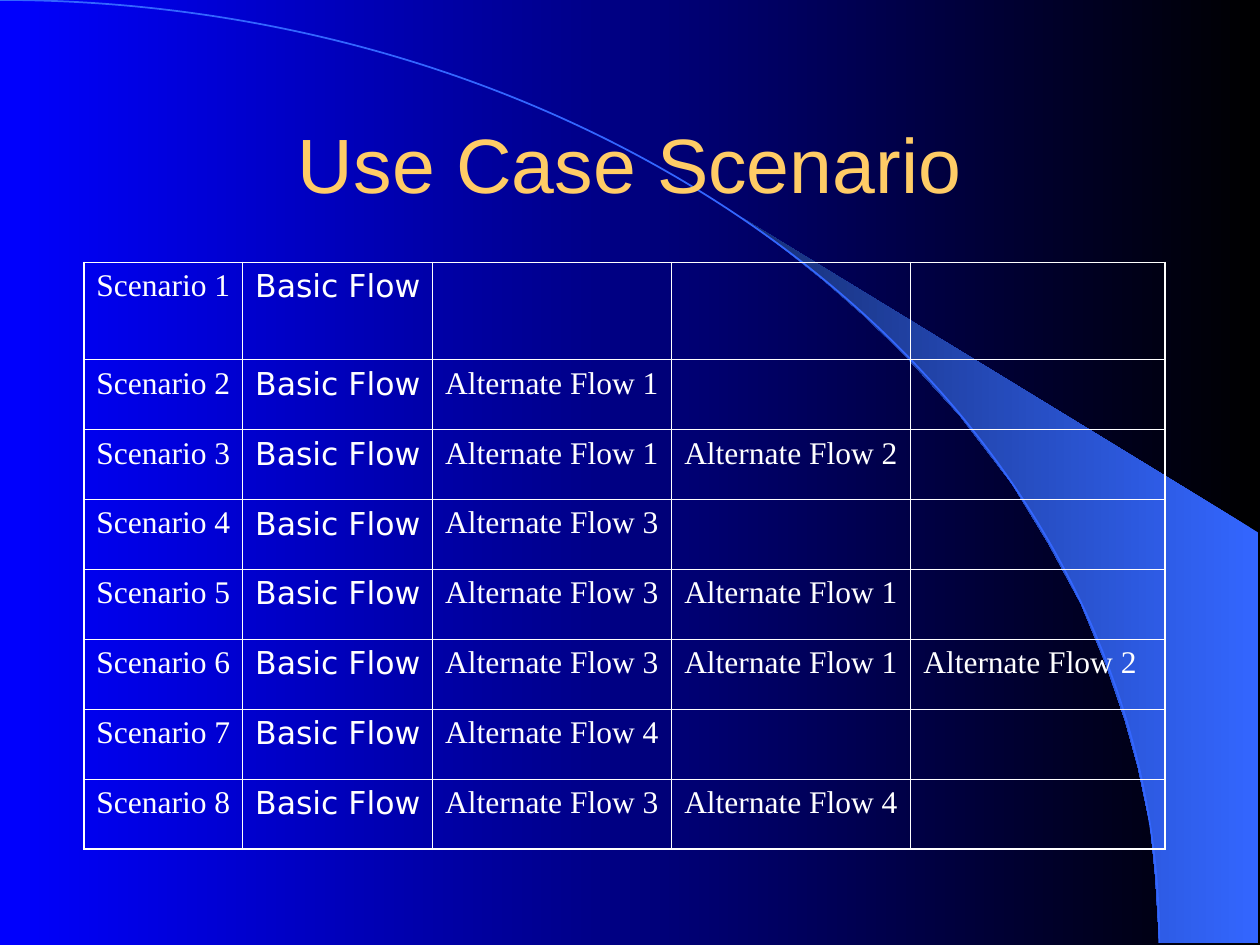
from lxml import etree
from pptx import Presentation
from pptx.dml.color import RGBColor
from pptx.enum.shapes import MSO_SHAPE
from pptx.enum.text import MSO_ANCHOR, MSO_AUTO_SIZE, PP_ALIGN
from pptx.oxml.ns import qn
from pptx.util import Cm, Pt

ARC = MSO_SHAPE.ARC
MIDDLE = MSO_ANCHOR.MIDDLE
NO_AUTOFIT = MSO_AUTO_SIZE.NONE
CENTER, LEFT = PP_ALIGN.CENTER, PP_ALIGN.LEFT

TITLE = "Use Case Scenario"
ALTERNATE_FLOWS = [[], [1], [1, 2], [3], [3, 1], [3, 1, 2], [4], [3, 4]]

WHITE, GOLD, SKY, NAVY = "FFFFFF", "FFCC66", "3366FF", "172F75"
BLACK, BLUE = "000000", "0000FF"
SERIF, SANS, TITLE_FONT = "Times New Roman", "DejaVu Sans", "Arial"

COLUMN_WIDTHS = [3.2, 3.83, 4.82, 4.82, 5.13]
ROW_HEIGHTS = [1.96] + [1.41] * 7
TABLE_LEFT, TABLE_TOP = 1.69, 5.29
CELL_RIGHT_MARGIN = 0.15
INNER_LINE, OUTER_LINE = 0.45, 1.08

WEDGE_UNIT = Cm(0.01)
WEDGE_POINTS = [
    (2337, 1900), (2537, 1902), (2537, 1074), (1496, 439), (1585, 505),
    (1659, 564), (1740, 635), (1819, 711), (1935, 838), (2040, 975),
    (2113, 1095), (2179, 1217), (2230, 1341), (2268, 1453), (2294, 1547),
    (2319, 1666), (2329, 1768),
]


def color(hex_string):
    return RGBColor.from_string(hex_string)


def set_gradient(fill, start, end):
    fill.gradient()
    fill.gradient_angle = 180
    for stop, hex_string in zip(fill.gradient_stops, (start, end)):
        stop.color.rgb = color(hex_string)


def write_text(frame, text, font, size=18, fill=WHITE, align=LEFT, before=0):
    paragraph = frame.paragraphs[0]
    paragraph.alignment = align
    paragraph.space_before = Pt(before)
    run = paragraph.add_run()
    run.text = text
    run.font.name = font
    run.font.size = Pt(size)
    run.font.bold = False
    run.font.color.rgb = color(fill)


def add_background(slide):
    set_gradient(slide.background.fill, BLACK, BLUE)

    builder = slide.shapes.build_freeform(*WEDGE_POINTS[0], scale=WEDGE_UNIT)
    builder.add_line_segments(WEDGE_POINTS[1:], close=True)
    wedge = builder.convert_to_shape()
    wedge.shadow.inherit = False
    set_gradient(wedge.fill, SKY, NAVY)
    wedge.line.fill.background()

    arc = slide.shapes.add_shape(ARC, Cm(-23.37), Cm(0), Cm(46.74), Cm(38.02))
    arc.shadow.inherit = False
    arc.fill.background()
    arc.line.color.rgb = color(SKY)
    arc.line.width = Pt(1)


def add_title(slide):
    title = slide.shapes.title
    title.left, title.top = Cm(1.9), Cm(1.69)
    title.width, title.height = Cm(21.6), Cm(3.18)
    frame = title.text_frame
    frame.word_wrap = True
    frame.auto_size = NO_AUTOFIT
    frame.vertical_anchor = MIDDLE
    write_text(frame, TITLE, TITLE_FONT, size=44, fill=GOLD, align=CENTER)
    title.element.getparent().append(title.element)


def set_borders(cell, outer_sides):
    properties = cell._tc.get_or_add_tcPr()
    for side, is_outer in outer_sides.items():
        width = Pt(OUTER_LINE if is_outer else INNER_LINE)
        line = etree.SubElement(properties, qn(f"a:ln{side}"), w=str(width))
        solid = etree.SubElement(line, qn("a:solidFill"))
        etree.SubElement(solid, qn("a:srgbClr"), val=WHITE)


def add_scenario_table(slide):
    row_count, column_count = len(ROW_HEIGHTS), len(COLUMN_WIDTHS)
    table = slide.shapes.add_table(
        row_count, column_count, Cm(TABLE_LEFT), Cm(TABLE_TOP),
        Cm(sum(COLUMN_WIDTHS)), Cm(sum(ROW_HEIGHTS))).table
    table.first_row = False
    table.horz_banding = False
    for column, width in zip(table.columns, COLUMN_WIDTHS):
        column.width = Cm(width)
    for row, height in zip(table.rows, ROW_HEIGHTS):
        row.height = Cm(height)

    for row_index, flows in enumerate(ALTERNATE_FLOWS):
        texts = [f"Scenario {row_index + 1}", "Basic Flow"]
        texts += [f"Alternate Flow {number}" for number in flows]
        for column_index in range(column_count):
            cell = table.cell(row_index, column_index)
            set_borders(cell, {
                "L": column_index == 0,
                "R": column_index == column_count - 1,
                "T": row_index == 0,
                "B": row_index == row_count - 1,
            })
            cell.fill.background()
            cell.margin_right = Cm(CELL_RIGHT_MARGIN)
            if column_index < len(texts):
                font = SANS if column_index == 1 else SERIF
                write_text(cell.text_frame, texts[column_index], font, before=4.5)


def main():
    presentation = Presentation()
    presentation.slide_width, presentation.slide_height = Cm(25.4), Cm(19.05)
    slide = presentation.slides.add_slide(presentation.slide_layouts[5])
    add_background(slide)
    add_title(slide)
    add_scenario_table(slide)
    presentation.save("out.pptx")


if __name__ == "__main__":
    main()
